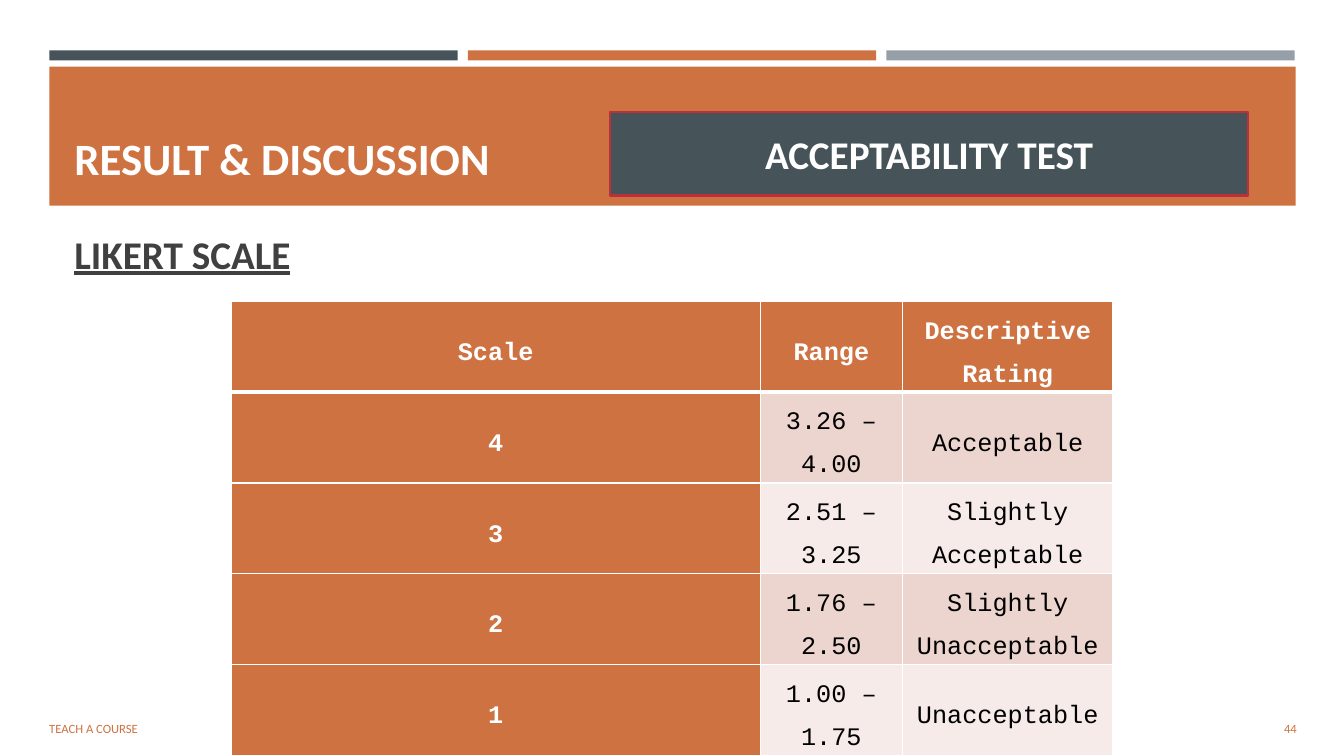
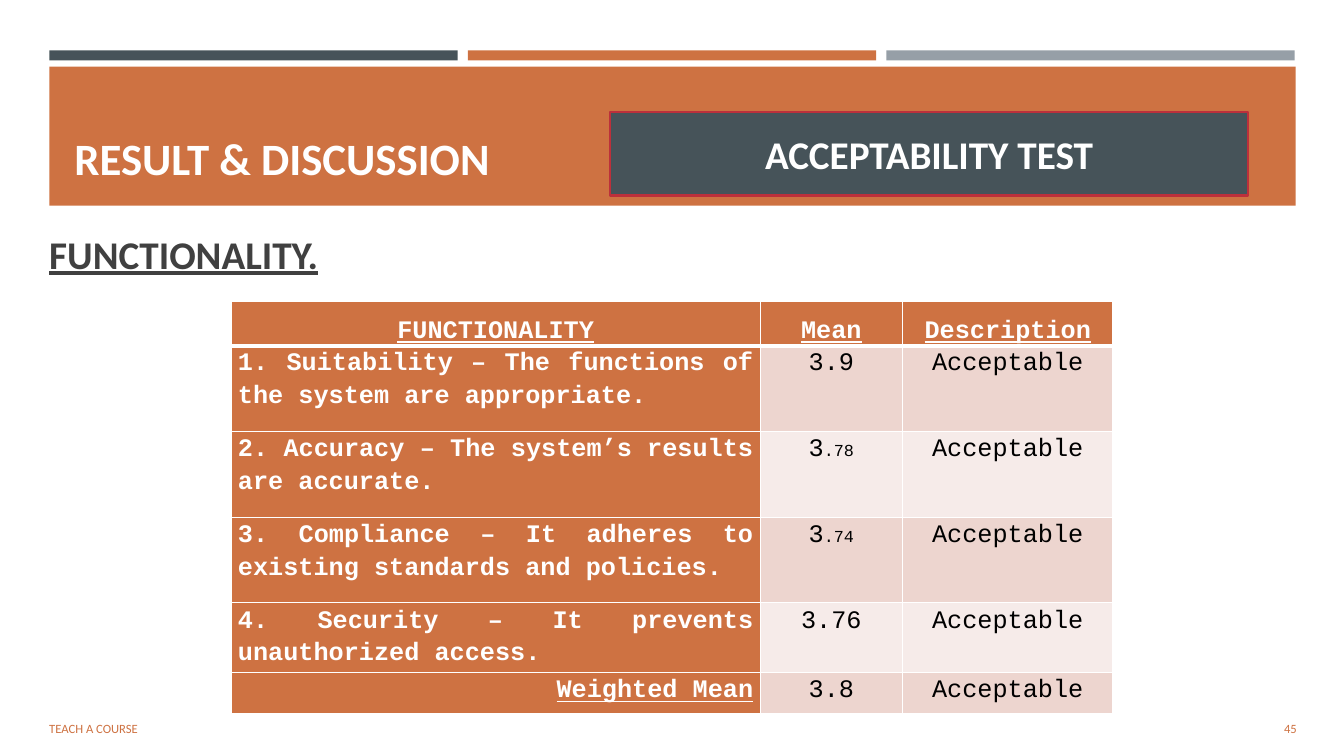
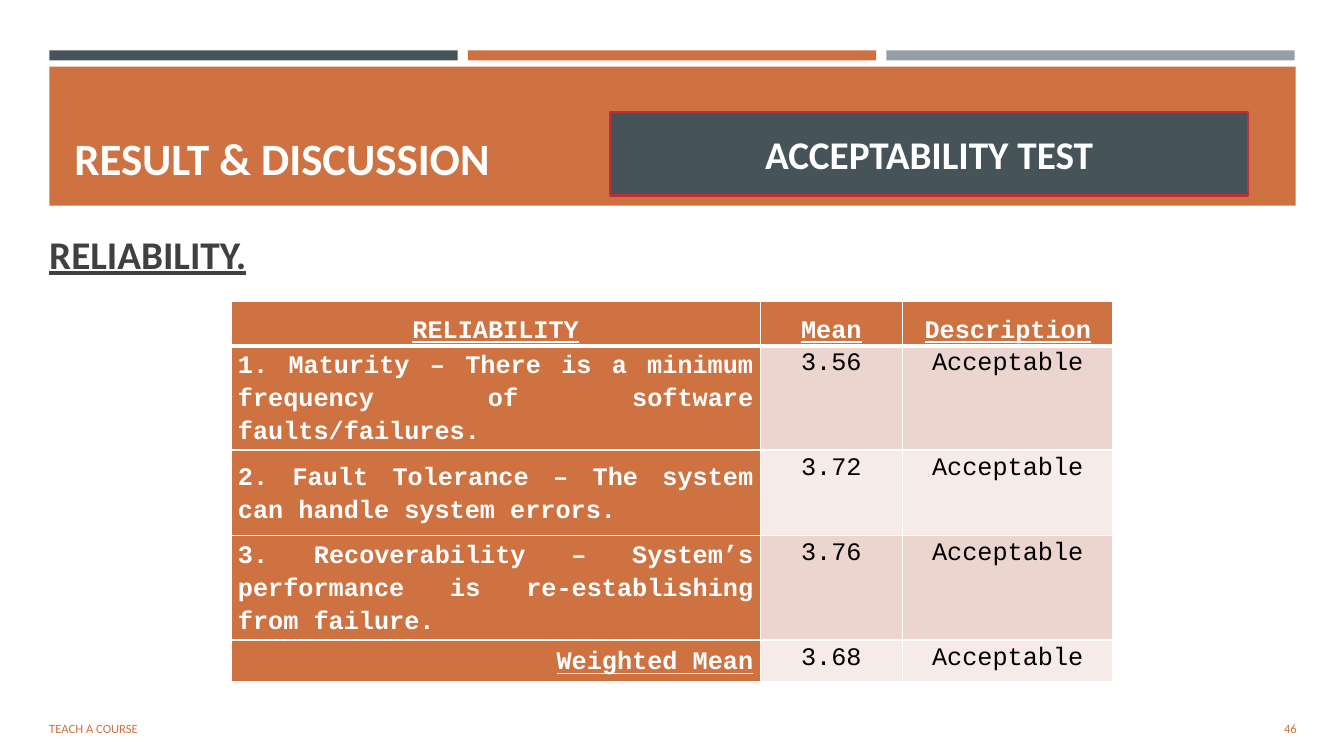
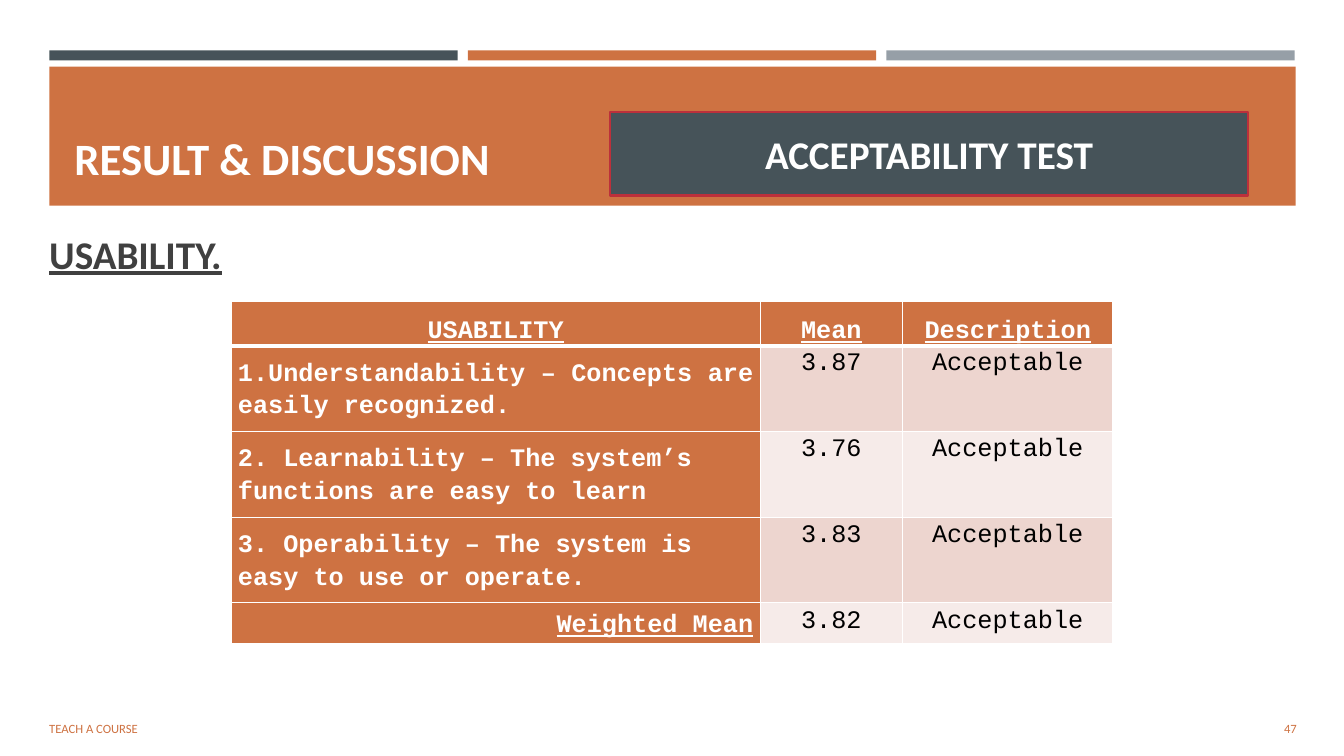
from pptx import Presentation
from pptx.dml.color import RGBColor
from pptx.enum.shapes import MSO_SHAPE
from pptx.enum.text import MSO_ANCHOR, PP_ALIGN
from pptx.oxml.ns import qn
from pptx.util import Inches, Pt
from lxml import etree

RECTANGLE = MSO_SHAPE.RECTANGLE
TOP, MIDDLE, BOTTOM = MSO_ANCHOR.TOP, MSO_ANCHOR.MIDDLE, MSO_ANCHOR.BOTTOM
LEFT, CENTER, RIGHT, JUSTIFY = PP_ALIGN.LEFT, PP_ALIGN.CENTER, PP_ALIGN.RIGHT, PP_ALIGN.JUSTIFY

SLATE = RGBColor(0x46, 0x53, 0x59)
ORANGE = RGBColor(0xCE, 0x72, 0x42)
GRAY = RGBColor(0x96, 0x9F, 0xA7)
RED = RGBColor(0xBC, 0x30, 0x3B)
CHARCOAL = RGBColor(0x40, 0x40, 0x40)
WHITE = RGBColor(0xFF, 0xFF, 0xFF)
BLACK = RGBColor(0, 0, 0)
BANDS = (RGBColor(0xED, 0xD5, 0xCF), RGBColor(0xF6, 0xEB, 0xE9))

BODY_FONT, TABLE_FONT = "Calibri", "Courier New"

MARGIN = 0.49
BAR_WIDTH, BAR_STEP = 4.05, 4.15
TABLE_LEFT, TABLE_TOP = 2.29, 2.99
COLUMN_WIDTHS = (5.25, 1.41, 2.09)

SCALE_ROWS = [
    ("Scale", "Range", "Descriptive Rating"),
    ("4", "3.26 – 4.00", "Acceptable"),
    ("3", "2.51 – 3.25", "Slightly Acceptable"),
    ("2", "1.76 – 2.50", "Slightly Unacceptable"),
    ("1", "1.00 – 1.75", "Unacceptable"),
]

# Each criterion: name, items (statement, alignment, mean), weighted mean,
# heights of the item rows, anchor of the first column.
# A mean given as a pair shows its second part smaller.
CRITERIA = [
    ("FUNCTIONALITY", [
        ("1. Suitability – The functions of the system are appropriate.", JUSTIFY, "3.9"),
        ("2. Accuracy – The system’s results are accurate.", JUSTIFY, ("3", ".78")),
        ("3. Compliance – It adheres to existing standards and policies.", JUSTIFY, ("3", ".74")),
        ("4. Security – It prevents unauthorized access.", JUSTIFY, "3.76"),
    ], "3.8", (0.85, 0.85, 0.85, 0.41), TOP),
    ("RELIABILITY", [
        ("1. Maturity – There is a minimum frequency of software faults/failures.", JUSTIFY, "3.56"),
        ("2. Fault Tolerance – The system can handle system errors.", JUSTIFY, "3.72"),
        ("3. Recoverability – System’s performance is re-establishing from failure.", JUSTIFY, "3.76"),
    ], "3.68", (0.85, 0.85, 0.85), MIDDLE),
    ("USABILITY", [
        ("1.Understandability – Concepts are easily recognized.", JUSTIFY, "3.87"),
        ("2. Learnability – The system’s functions are easy to learn", LEFT, "3.76"),
        ("3. Operability – The system is easy to use or operate.", LEFT, "3.83"),
    ], "3.82", (0.85, 0.85, 0.85), MIDDLE),
]


def style_font(font, name, size, color, bold=False, underline=False):
    font.name, font.size, font.bold, font.underline = name, Pt(size), bold, underline
    font.color.rgb = color


def add_block(page, box, fill, line=None):
    block = page.shapes.add_shape(RECTANGLE, *map(Inches, box))
    block.shadow.inherit = False
    block.fill.solid()
    block.fill.fore_color.rgb = fill
    if line is None:
        block.line.fill.background()
    else:
        block.line.color.rgb = line
        block.line.width = Pt(1.75)
    return block


def write_line(shape, text, size, color, bold=False, underline=False,
               align=LEFT, anchor=MIDDLE, before=0, after=6):
    frame = shape.text_frame
    frame.word_wrap = True
    frame.vertical_anchor = anchor
    para = frame.paragraphs[0]
    para.text = text
    para.alignment = align
    para.space_before, para.space_after = Pt(before), Pt(after)
    style_font(para.font, BODY_FONT, size, color, bold, underline)


def add_label(page, box, text, size, color, **style):
    label = page.shapes.add_textbox(*map(Inches, box))
    write_line(label, text, size, color, **style)


def add_frame(page, number):
    """Bars, title band, badge and footer shared by all slides."""
    for index, color in enumerate((SLATE, ORANGE, GRAY)):
        add_block(page, (MARGIN + index * BAR_STEP, 0.5, BAR_WIDTH, 0.1), color)
    add_block(page, (MARGIN, 0.66, 12.36, 1.38), ORANGE)
    add_label(page, (11.81, 7.03, 1.15, 0.4), str(number), 9, ORANGE, align=RIGHT)
    add_label(page, (0.39, 7.03, 7.46, 0.4), "TEACH A COURSE", 9, ORANGE)
    add_label(page, (0.64, 0.8, 12.06, 1.08), "RESULT & DISCUSSION", 32, WHITE,
              bold=True, anchor=BOTTOM, after=0)
    badge = add_block(page, (6.05, 1.11, 6.33, 0.83), SLATE, RED)
    badge.text_frame.margin_top = badge.text_frame.margin_bottom = 0
    write_line(badge, "ACCEPTABILITY TEST", 28, WHITE, bold=True, align=CENTER)


def add_heading(page, left, text):
    add_label(page, (left, 2.04, 7.33, 0.95), text, 28, CHARCOAL,
              bold=True, underline=True, before=5.6)


def set_borders(cell, row):
    """White rules, with a thick one under the header row."""
    widths = {"lnL": 1, "lnR": 1, "lnT": 3 if row == 1 else 1, "lnB": 3 if row == 0 else 1}
    properties = cell._tc.get_or_add_tcPr()
    for tag, width in widths.items():
        line = etree.SubElement(properties, qn(f"a:{tag}"), w=str(Pt(width)))
        fill = etree.SubElement(line, qn("a:solidFill"))
        etree.SubElement(fill, qn("a:srgbClr"), val=str(WHITE))


def fill_cell(cell, row, column, content, align, anchor, spacing, underline):
    strong = row == 0 or column == 0
    set_borders(cell, row)
    cell.fill.solid()
    cell.fill.fore_color.rgb = ORANGE if strong else BANDS[(row - 1) % 2]
    cell.margin_left = cell.margin_right = Inches(0.07)
    cell.margin_top = cell.margin_bottom = 0
    cell.vertical_anchor = anchor
    para = cell.text_frame.paragraphs[0]
    para.alignment = align
    para.line_spacing = spacing
    style_font(para.font, TABLE_FONT, 18, WHITE if strong else BLACK, strong, underline)
    parts = (content,) if isinstance(content, str) else content
    for index, part in enumerate(parts):
        span = para.add_run()
        span.text = part
        if index:
            span.font.size = Pt(12)


def add_grid(page, left, top, heights):
    table = page.shapes.add_table(
        len(heights), len(COLUMN_WIDTHS), Inches(left), Inches(top),
        Inches(sum(COLUMN_WIDTHS)), Inches(sum(heights))).table
    table.first_row = table.horz_banding = False
    for column, width in zip(table.columns, COLUMN_WIDTHS):
        column.width = Inches(width)
    for row, height in zip(table.rows, heights):
        row.height = Inches(height)
    return table


def add_scale_table(page, left, top):
    table = add_grid(page, left, top, [0.81] * len(SCALE_ROWS))
    for row, texts in enumerate(SCALE_ROWS):
        for column, text in enumerate(texts):
            fill_cell(table.cell(row, column), row, column, text, CENTER, MIDDLE, 1.5, False)


def add_criterion_table(page, left, top, name, items, weighted, heights, anchor):
    rows = [(name, CENTER, "Mean"), *items, ("Weighted Mean", RIGHT, weighted)]
    table = add_grid(page, left, top, (0.44, *heights, 0.41))
    for row, (statement, align, mean) in enumerate(rows):
        header = row == 0
        rating = "Description" if header else "Acceptable"
        for column, content in enumerate((statement, mean, rating)):
            first = column == 0
            fill_cell(table.cell(row, column), row, column, content,
                      align if first else CENTER,
                      BOTTOM if header else anchor if first else TOP,
                      1.15,
                      header or (first and row == len(rows) - 1))


def add_page(deck, number):
    page = deck.slides.add_slide(deck.slide_layouts[6])
    add_frame(page, number)
    return page


def main():
    deck = Presentation()
    deck.slide_width, deck.slide_height = Inches(13.33), Inches(7.5)

    # Rating scale
    page = add_page(deck, 44)
    add_heading(page, 0.64, "LIKERT SCALE")
    add_scale_table(page, TABLE_LEFT, TABLE_TOP)

    # One slide for each criterion
    for number, criterion in enumerate(CRITERIA, start=45):
        page = add_page(deck, number)
        add_heading(page, 0.39, criterion[0] + ".")
        add_criterion_table(page, TABLE_LEFT, TABLE_TOP, *criterion)

    deck.save("out.pptx")


if __name__ == "__main__":
    main()
